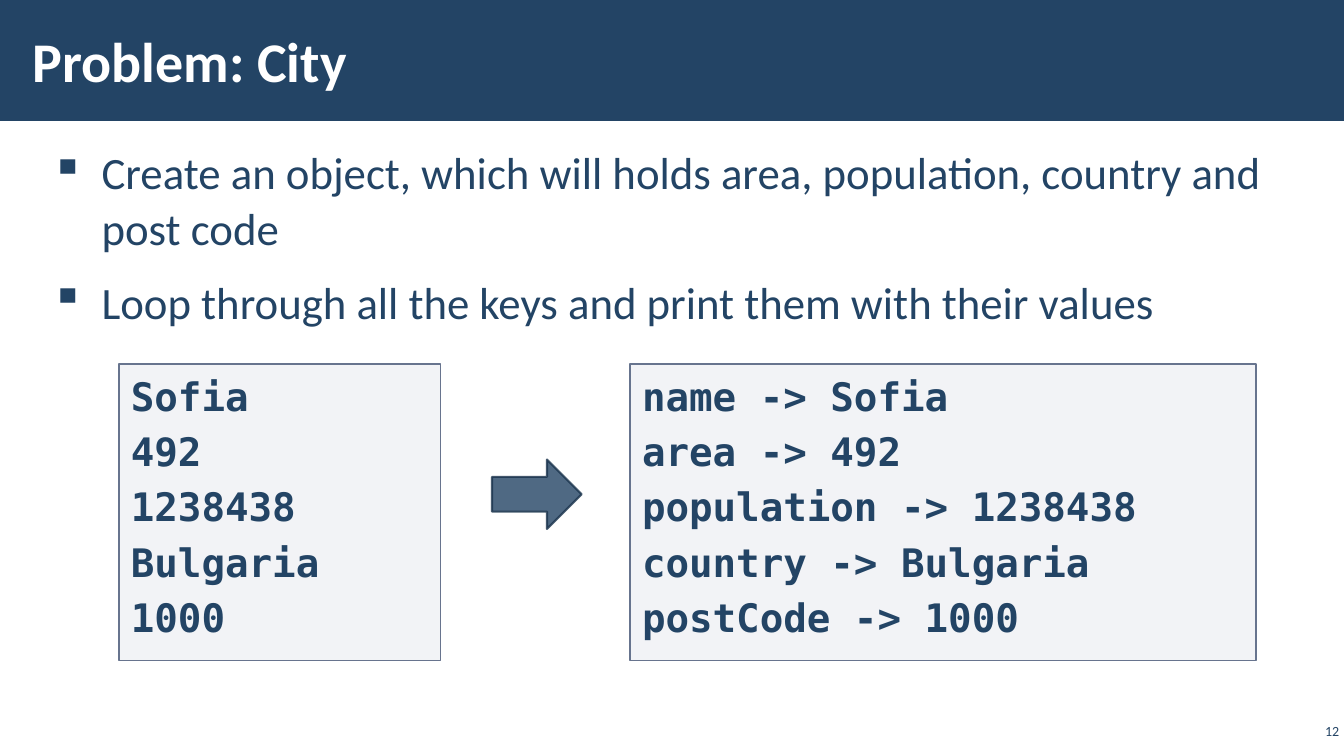
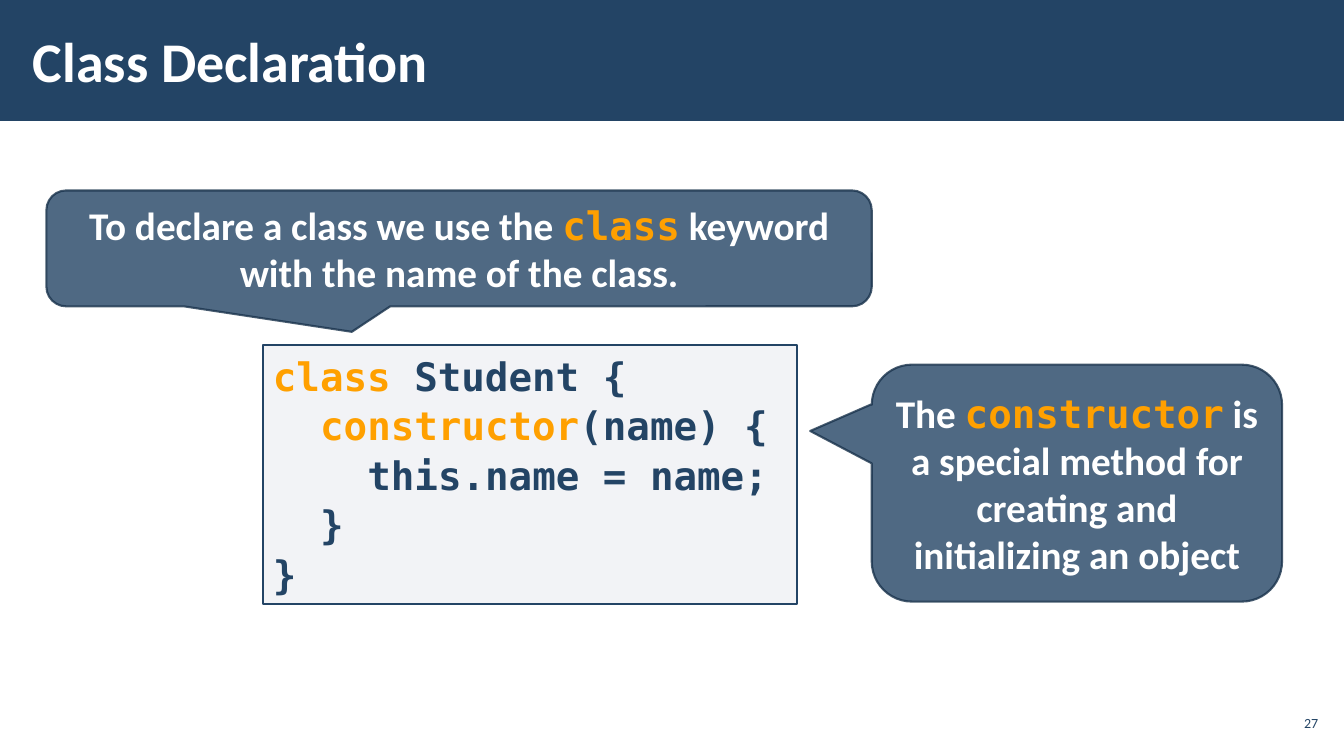
from dataclasses import dataclass

from lxml import etree
from pptx import Presentation
from pptx import util as u
from pptx.dml.color import RGBColor
from pptx.enum import shapes, text
from pptx.oxml.ns import qn


@dataclass(frozen=True)
class Theme:
    navy: str = "234465"
    edge: str = "1A334C"
    code_fill: str = "ADB4C3"
    code_edge: str = "67748E"
    accent: str = "FFA000"
    white: str = "FFFFFF"
    sans: str = "Calibri"
    mono: str = "DejaVu Sans Mono"
    title_size: int = 40
    body_size: int = 32
    box_size: int = 28
    number_size: int = 10
    strong: int = 80
    faint: int = 15


SLIDE_WIDTH, SLIDE_HEIGHT = 33.87, 19.05
CODE_INDENT = 1.19  # two monospaced characters at box_size


class Deck:
    """Holds the theme and the slide being filled; places are in centimetres."""

    def __init__(self, theme):
        self.theme = theme
        self.prs = Presentation()
        self.prs.slide_width = u.Cm(SLIDE_WIDTH)
        self.prs.slide_height = u.Cm(SLIDE_HEIGHT)
        self.slide = None

    def new_slide(self, title, number, number_at):
        t = self.theme
        self.slide = self.prs.slides.add_slide(self.prs.slide_layouts[6])
        self.panel(shapes.MSO_SHAPE.RECTANGLE, (0, 0, SLIDE_WIDTH, 3.05), t.navy)
        heading = self.text_frame((0.53, 0.28, 26.42, 2.46), text.MSO_ANCHOR.MIDDLE)
        self.add_lines(heading, [title], t.title_size, t.white, bold=True)
        page = self.text_frame(number_at, text.MSO_ANCHOR.MIDDLE, (0.1, 0.1))
        self.add_lines(page, [str(number)], t.number_size, t.navy,
                       align=text.PP_ALIGN.RIGHT)

    def panel(self, kind, at, fill, opacity=100, line=None, width=1, line_opacity=100):
        shape = self.slide.shapes.add_shape(kind, *map(u.Cm, at))
        shape.shadow.inherit = False
        shape.fill.solid()
        shape.fill.fore_color.rgb = RGBColor.from_string(fill)
        self.fade(shape, "a:solidFill", opacity)
        if line:
            shape.line.color.rgb = RGBColor.from_string(line)
            shape.line.width = u.Pt(width)
            self.fade(shape, "a:ln/a:solidFill", line_opacity)
        else:
            shape.line.fill.background()
        return shape

    @staticmethod
    def fade(shape, paint, opacity):
        """Make the paint (fill or line) partly transparent."""
        if opacity < 100:
            for color in shape.element.spPr.xpath(f"{paint}/a:srgbClr"):
                etree.SubElement(color, qn("a:alpha"), val=str(opacity * 1000))

    def text_frame(self, at, anchor, insets=(0.3, 0.1)):
        box = self.slide.shapes.add_textbox(*map(u.Cm, at))
        return self.prepare(box.text_frame, anchor, insets)

    @staticmethod
    def prepare(frame, anchor, insets):
        frame.word_wrap = True
        frame.vertical_anchor = anchor
        frame.margin_left = frame.margin_right = u.Cm(insets[0])
        frame.margin_top = frame.margin_bottom = u.Cm(insets[1])
        return frame

    @staticmethod
    def set_font(font, name, size, color, bold):
        font.name = name
        font.size = u.Pt(size)
        font.bold = bold
        font.color.rgb = RGBColor.from_string(color)

    def add_lines(self, frame, lines, size, color, face=None, bold=False,
                  align=text.PP_ALIGN.LEFT, before=0, after=0, spacing=1.0):
        """Fill the frame; words between backticks become accented code."""
        t = self.theme
        plain = (face or t.sans, size, color, bold)
        accented = (t.mono, size, t.accent, bold)
        for index, line in enumerate(lines):
            paragraph = frame.add_paragraph() if index else frame.paragraphs[0]
            paragraph.alignment = align
            paragraph.line_spacing = spacing
            paragraph.space_before = u.Pt(before)
            paragraph.space_after = u.Pt(after)
            self.set_font(paragraph.font, *plain)
            for part, words in enumerate(line.split("`")):
                if words:
                    run = paragraph.add_run()
                    run.text = words
                    # Some viewers ignore the paragraph font
                    self.set_font(run.font, *(accented if part % 2 else plain))
        return frame.paragraphs

    @staticmethod
    def indent(paragraph, left, first=0):
        properties = paragraph._p.get_or_add_pPr()
        properties.set("marL", str(u.Cm(left)))
        properties.set("indent", str(u.Cm(first)))
        return properties

    def bullets(self, at, lines):
        t = self.theme
        frame = self.text_frame(at, text.MSO_ANCHOR.TOP)
        for paragraph in self.add_lines(frame, lines, t.body_size, t.navy,
                                        before=6, after=6, spacing=1.05):
            properties = self.indent(paragraph, 1.27, -1.27)
            bullet = etree.Element(qn("a:buChar"), char="▪")
            properties.find(qn("a:spcAft")).addnext(bullet)

    def code(self, at, lines, line, insets, levels=(), **spacing):
        t = self.theme
        box = self.panel(shapes.MSO_SHAPE.RECTANGLE, at, t.code_fill, t.faint, line)
        frame = self.prepare(box.text_frame, text.MSO_ANCHOR.TOP, insets)
        paragraphs = self.add_lines(frame, lines, t.box_size, t.navy, t.mono, True,
                                    **spacing)
        for paragraph, level in zip(paragraphs, levels):
            self.indent(paragraph, level * CODE_INDENT)

    def navy_shape(self, kind, at):
        t = self.theme
        return self.panel(kind, at, t.navy, t.strong, t.edge, 1.5, t.strong)

    def callout(self, at, tip, message):
        t = self.theme
        bubble = self.navy_shape(shapes.MSO_SHAPE.ROUNDED_RECTANGULAR_CALLOUT, at)
        for index, value in enumerate((*tip, 0.17)):
            bubble.adjustments[index] = value
        frame = self.prepare(bubble.text_frame, text.MSO_ANCHOR.MIDDLE, (0.25, 0.13))
        self.add_lines(frame, [message], t.box_size, t.white, bold=True,
                       align=text.PP_ALIGN.CENTER)


def city_slide(deck):
    deck.new_slide("Problem: City", 12, (32.66, 18.14, 1.19, 0.56))
    deck.bullets((0.99, 3.48, 31.9, 5.72), [
        "Create an object, which will holds area, population, country and post code",
        "Loop through all the keys and print them with their values",
    ])
    city = {"name": "Sofia", "area": "492", "population": "1238438",
            "country": "Bulgaria", "postCode": "1000"}
    printed = [f"{key} -> {value}" for key, value in city.items()]
    for left, width, lines in ((3, 8.1, city.values()), (15.88, 15.77, printed)):
        deck.code((left, 9.17, width, 7.48), lines, deck.theme.code_edge,
                  (0.3, 0.2), before=6)
    deck.navy_shape(shapes.MSO_SHAPE.RIGHT_ARROW, (12.4, 11.58, 2.26, 1.75))


def class_slide(deck):
    deck.new_slide("Class Declaration", 27, (32.13, 17.78, 1.19, 0.86))
    deck.code((6.63, 8.69, 13.46, 6.53), [
        "`class` Student {",
        "`constructor`(name) {",
        "this.name = name;",
        "}",
        "}",
    ], deck.theme.navy, (0.25, 0.13), levels=(0, 1, 2, 1, 0), spacing=1.05)
    deck.callout((1.17, 4.8, 20.8, 2.92), (-0.13, 0.72),
                 "To declare a class we use the `class` keyword "
                 "with the name of the class.")
    deck.callout((21.97, 9.19, 10.34, 5.97), (-0.65, -0.22),
                 "The `constructor` is a special method for "
                 "creating and initializing an object")


def main():
    deck = Deck(Theme())
    city_slide(deck)
    class_slide(deck)
    deck.prs.save("out.pptx")


if __name__ == "__main__":
    main()
